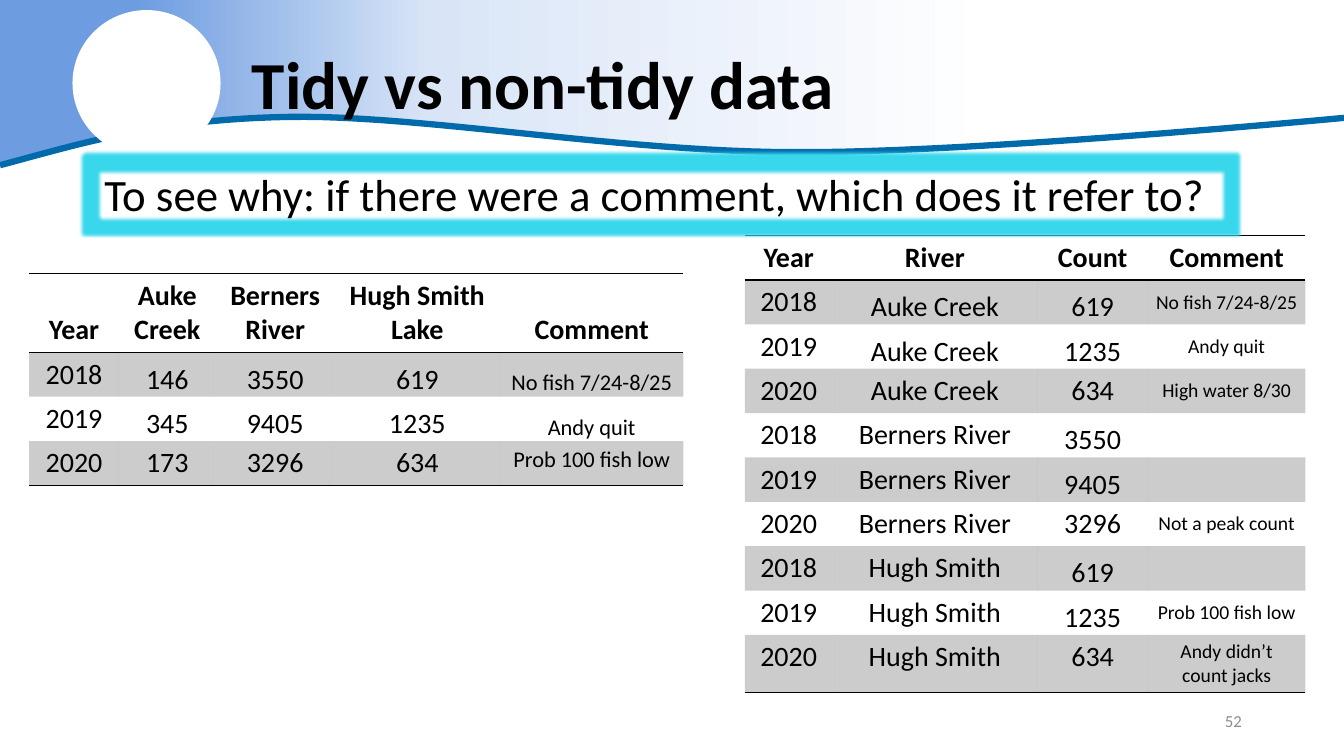
from lxml import etree
from pptx import Presentation
from pptx.dml.color import RGBColor
from pptx.enum import shapes, text
from pptx.oxml import ns, parse_xml
from pptx.util import Pt

BLACK = RGBColor(0x00, 0x00, 0x00)
WHITE = RGBColor(0xFF, 0xFF, 0xFF)
GREY = RGBColor(0x8C, 0x8C, 0x8C)
WAVE_BLUE = RGBColor(0x00, 0x6A, 0xAB)
CYAN = RGBColor(0x38, 0xD7, 0xEC)
SKY = [(10, RGBColor(0x6D, 0x9C, 0xE1)), (32, RGBColor(0xD9, 0xE5, 0xF7)), (74, WHITE)]
PLAIN_TABLE = "{2D5ABB26-0587-4C30-8999-92F81FD0307C}"

WIDTH, HEIGHT = 960, 540
ROW = 31.7
TOP, MIDDLE, BOTTOM = text.MSO_ANCHOR.TOP, text.MSO_ANCHOR.MIDDLE, text.MSO_ANCHOR.BOTTOM

WAVE_START = (0, 118)
WAVE_CURVES = [
    [(54, 103.7), (111.6, 85), (206.6, 83.5)],
    [(301.7, 82), (442.8, 108.7), (568.8, 108.7)],
    [(694, 109.4), (WIDTH, 84.2), (WIDTH, 84.2)],
]

WIDE_COUNTS = [
    ["Year", "Auke Creek", "Berners River", "Hugh Smith Lake", "Comment"],
    ["2018", "146", "3550", "619", "No fish 7/24-8/25"],
    ["2019", "345", "9405", "1235", "Andy quit"],
    ["2020", "173", "3296", "634", "Prob 100 fish low"],
]
TIDY_COUNTS = [
    ["Year", "River", "Count", "Comment"],
    ["2018", "Auke Creek", "619", "No fish 7/24-8/25"],
    ["2019", "Auke Creek", "1235", "Andy quit"],
    ["2020", "Auke Creek", "634", "High water 8/30"],
    ["2018", "Berners River", "3550", ""],
    ["2019", "Berners River", "9405", ""],
    ["2020", "Berners River", "3296", "Not a peak count"],
    ["2018", "Hugh Smith", "619", ""],
    ["2019", "Hugh Smith", "1235", "Prob 100 fish low"],
    ["2020", "Hugh Smith", "634", "Andy didn’t count jacks"],
]
ROOMY_RIVERS = ("Berners River", "Hugh Smith")


def wave_points(steps=24):
    """Points along the chain of cubic curves."""
    points = [WAVE_START]
    for c1, c2, end in WAVE_CURVES:
        start = points[-1]
        for step in range(1, steps + 1):
            t = step / steps
            weights = ((1 - t) ** 3, 3 * t * (1 - t) ** 2, 3 * t * t * (1 - t), t ** 3)
            points.append(tuple(
                sum(w * p[axis] for w, p in zip(weights, (start, c1, c2, end)))
                for axis in (0, 1)))
    return points


class SlideWriter:
    font = "Calibri"

    def __init__(self, slide):
        self.slide = slide
        self.shapes = slide.shapes

    def style(self, paragraph, size, color=BLACK, bold=False, align=text.PP_ALIGN.CENTER):
        paragraph.alignment = align
        paragraph.font.name = self.font
        paragraph.font.size = Pt(size)
        paragraph.font.bold = bold
        paragraph.font.color.rgb = color

    def title(self, words, left, top, width, height):
        title = self.shapes.title
        title.left, title.top, title.width, title.height = map(Pt, (left, top, width, height))
        title.text_frame.text = words
        title.text_frame.vertical_anchor = MIDDLE
        heading = title.text_frame.paragraphs[0]
        heading.line_spacing = 0.9
        self.style(heading, 48, bold=True, align=text.PP_ALIGN.LEFT)
        # Bring the heading in front of the wave
        title.element.getparent().append(title.element)

    def outline(self, points, close):
        (x, y), *rest = [(Pt(px), Pt(py)) for px, py in points]
        builder = self.shapes.build_freeform(x, y)
        builder.add_line_segments(rest, close=close)
        shape = builder.convert_to_shape()
        shape.shadow.inherit = False
        return shape

    def sky(self, points):
        sky = self.outline(points, close=True)
        sky.line.fill.background()
        sky.fill.gradient()
        sky.fill.gradient_angle = 0
        stops = sky.element.spPr.find(ns.qn("a:gradFill")).find(ns.qn("a:gsLst"))
        for stop in list(stops):
            stops.remove(stop)
        for percent, color in SKY:
            stop = etree.SubElement(stops, ns.qn("a:gs"), pos=str(percent * 1000))
            etree.SubElement(stop, ns.qn("a:srgbClr"), val=str(color))

    def wave(self, points):
        wave = self.outline(points, close=False)
        wave.fill.background()
        wave.line.color.rgb = WAVE_BLUE
        wave.line.width = Pt(4.5)

    def disc(self, left, top, width, height):
        disc = self.shapes.add_shape(shapes.MSO_SHAPE.OVAL, *map(Pt, (left, top, width, height)))
        disc.shadow.inherit = False
        disc.fill.solid()
        disc.fill.fore_color.rgb = WHITE
        disc.line.fill.background()

    def glowing_callout(self, words, left, top, width, height):
        callout = self.shapes.add_shape(
            shapes.MSO_SHAPE.RECTANGLE, *map(Pt, (left, top, width, height)))
        callout.shadow.inherit = False
        callout.fill.background()
        callout.line.color.rgb = CYAN
        callout.line.width = Pt(0.75)
        effects = callout.element.spPr.find(ns.qn("a:effectLst"))
        glow = etree.SubElement(effects, ns.qn("a:glow"), rad=str(Pt(4)))
        etree.SubElement(glow, ns.qn("a:srgbClr"), val=str(CYAN))
        frame = callout.text_frame
        frame.word_wrap = True
        frame.text = words
        self.style(frame.paragraphs[0], 32)

    def page_number(self, number, left, top, width, height):
        box = self.shapes.add_textbox(*map(Pt, (left, top, width, height)))
        frame = box.text_frame
        frame.word_wrap = True
        frame.vertical_anchor = MIDDLE
        frame.text = number
        self.style(frame.paragraphs[0], 12, GREY, align=text.PP_ALIGN.RIGHT)

    def rule(self, cell, side):
        cell._tc.get_or_add_tcPr().append(parse_xml(
            f'<a:{side} {ns.nsdecls("a")} w="{Pt(1)}"><a:solidFill>'
            f'<a:srgbClr val="{BLACK}"/></a:solidFill></a:{side}>'))

    def band(self, cell):
        """Fill with black at 20 % opacity."""
        cell.fill.solid()
        cell.fill.fore_color.rgb = BLACK
        color = cell._tc.tcPr.find(ns.qn("a:solidFill"))[0]
        etree.SubElement(color, ns.qn("a:alpha"), val="20000")

    def table(self, rows, left, top, widths, heights, header_anchor, comment_size,
              comment_anchor=None):
        frame = self.shapes.add_table(
            len(rows), len(widths), *map(Pt, (left, top, sum(widths), sum(heights))))
        table = frame.table
        table.first_row = table.horz_banding = False
        table._tbl.tblPr.find(ns.qn("a:tableStyleId")).text = PLAIN_TABLE
        for column, width in zip(table.columns, widths):
            column.width = Pt(width)
        for row, height in zip(table.rows, heights):
            row.height = Pt(height)
        for r, row in enumerate(rows):
            for c, words in enumerate(row):
                cell = table.cell(r, c)
                is_comment = r > 0 and c == len(row) - 1
                tight = r > 0 and c > 0 and row[0] != "2020" and words not in ROOMY_RIVERS
                cell.text = words
                self.style(cell.text_frame.paragraphs[0],
                           comment_size if is_comment else 20, bold=r == 0)
                cell.vertical_anchor = header_anchor if r == 0 else BOTTOM if tight else TOP
                if is_comment and comment_anchor is not None:
                    cell.vertical_anchor = comment_anchor
                if tight:
                    cell.margin_left = cell.margin_right = cell.margin_top = Pt(0.75)
                    cell.margin_bottom = 0
                if r == 0:
                    self.rule(cell, "lnT")
                if r in (0, len(rows) - 1):
                    self.rule(cell, "lnB")
                if r % 2:
                    self.band(cell)
                else:
                    cell.fill.background()


def main():
    deck = Presentation()
    deck.slide_width, deck.slide_height = Pt(WIDTH), Pt(HEIGHT)
    writer = SlideWriter(deck.slides.add_slide(deck.slide_layouts[5]))
    crest = wave_points()
    writer.sky([(0, 0), (WIDTH, 0)] + crest[::-1])
    writer.wave(crest)
    writer.disc(51.8, 7.2, 105.8, 104.4)
    writer.title("Tidy vs non-tidy data", 172.8, 14.4, 721.4, 96.5)
    writer.page_number("52", 678.2, 500.4, 216, 28.8)
    writer.table(WIDE_COUNTS, 20.9, 195.5, [64.1, 69.1, 85, 118.1, 131], [56.2] + [ROW] * 3,
                 BOTTOM, 16)
    writer.table(TIDY_COUNTS, 532.1, 168.3, [62.6, 146.2, 79.2, 112.3], [ROW] * 9 + [41.4],
                 TOP, 14, MIDDLE)
    writer.glowing_callout("To see why: if there were a comment, which does it refer to? ",
                           64.1, 115.2, 814.3, 46.1)
    deck.save("out.pptx")


if __name__ == "__main__":
    main()
